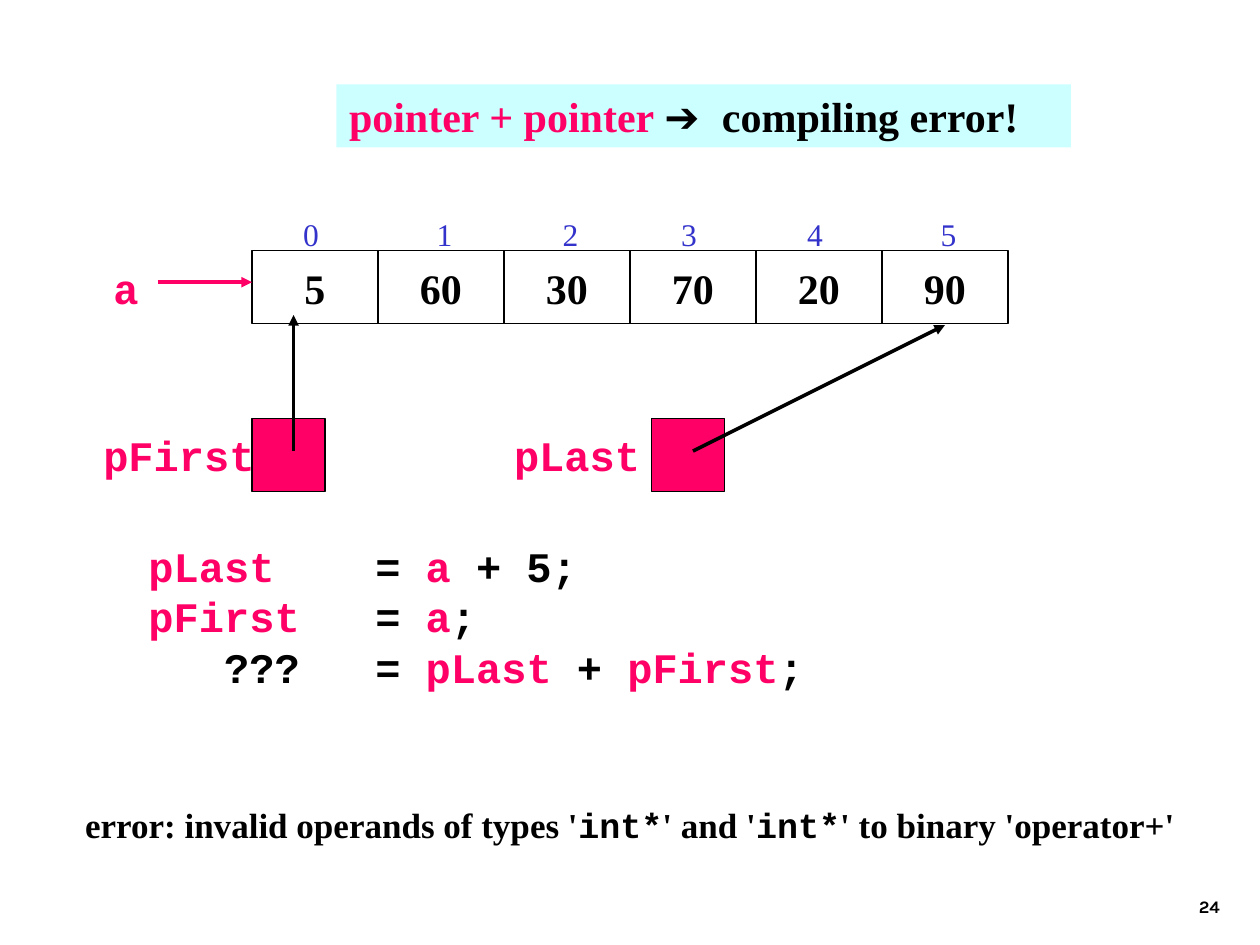
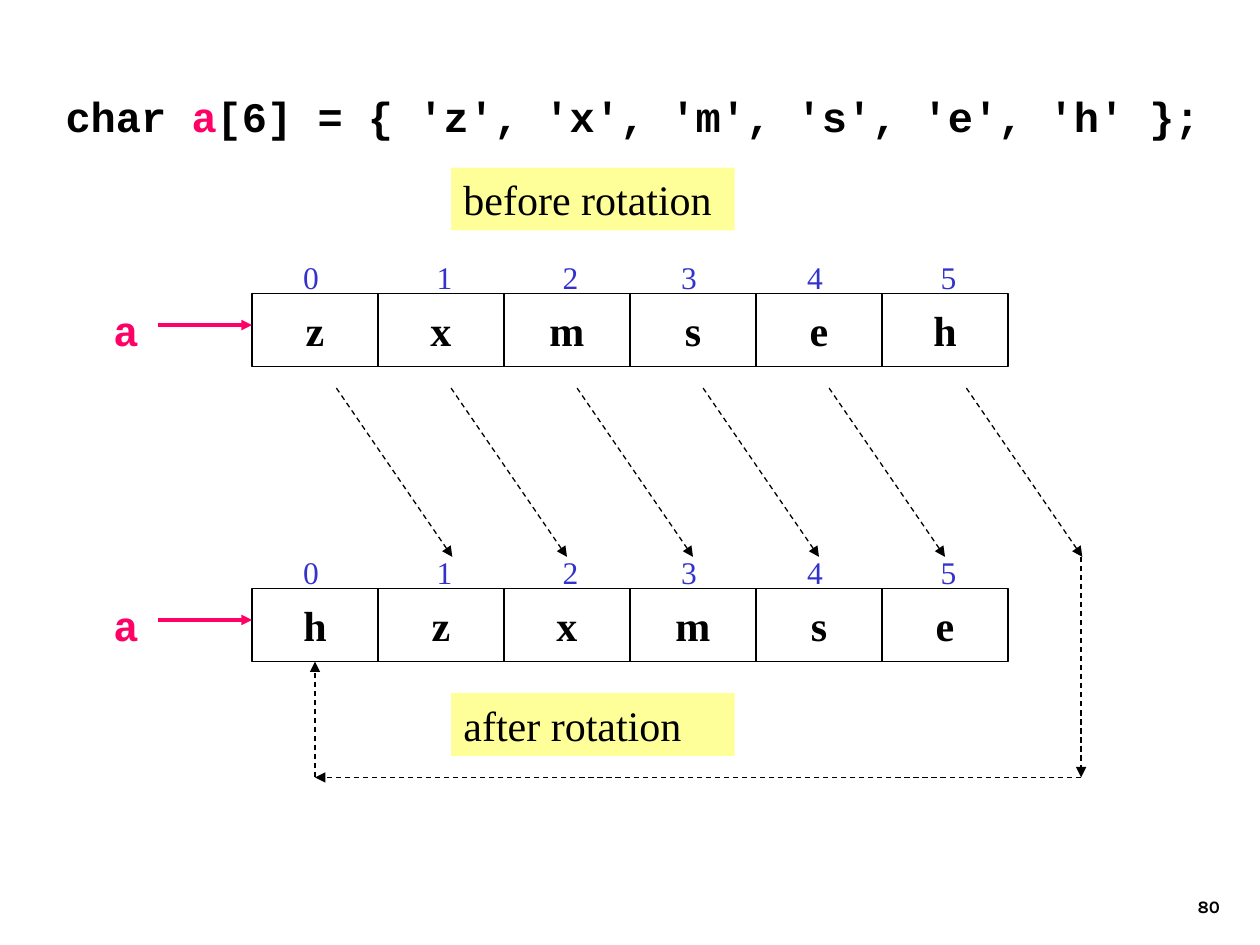
"""Build two slides on pointers and array rotation in C."""
from pptx import Presentation
from pptx.dml.color import RGBColor
from pptx.enum.dml import MSO_LINE
from pptx.enum.shapes import MSO_CONNECTOR, MSO_SHAPE
from pptx.enum.text import MSO_ANCHOR, MSO_AUTO_SIZE, PP_ALIGN
from pptx.oxml.ns import qn
from pptx.util import Inches, Pt
from lxml.etree import SubElement

BLACK = RGBColor(0x00, 0x00, 0x00)
PINK = RGBColor(0xFF, 0x00, 0x66)
BLUE = RGBColor(0x33, 0x33, 0xCC)
CYAN = RGBColor(0xCC, 0xFF, 0xFF)
YELLOW = RGBColor(0xFF, 0xFF, 0x99)
SERIF, CODE, SYMBOL, NUMBER = "Times New Roman", "Courier New", "Arial", "Karla"
CELL_HEIGHT = 0.58
ARRAY_LEFT = 2
INDEX_TABS = (0.37, 1.43, 2.43, 3.37, 4.37, 5.43)


class Painter:
    """Hold the shared style and the slide being drawn."""

    def __init__(self):
        self.deck = Presentation()
        self.deck.slide_width, self.deck.slide_height = Inches(10), Inches(7.5)
        self.slide = None

    def page(self, number, title, area, face=SERIF, fill=None, tabs=()):
        self.slide = self.deck.slides.add_slide(self.deck.slide_layouts[5])
        box = self.slide.shapes.title
        box.left, box.top, box.width, box.height = map(Inches, area)
        if fill is not None:
            box.fill.solid()
            box.fill.fore_color.rgb = fill
        self.set_text(box, [title], face=face, anchor=MSO_ANCHOR.TOP, tabs=tabs)
        self.text([[(number,)]], (7.7, 6.83, 2.08, 0.5), size=10, face=NUMBER,
                  align=PP_ALIGN.RIGHT, anchor=MSO_ANCHOR.BOTTOM)

    def set_text(self, box, lines, size=24, face=SERIF, color=BLACK, bold=True,
                 align=PP_ALIGN.LEFT, anchor=MSO_ANCHOR.MIDDLE, wrap=True, tabs=()):
        frame = box.text_frame
        frame.auto_size = MSO_AUTO_SIZE.NONE
        frame.word_wrap = wrap
        frame.vertical_anchor = anchor
        for index, spans in enumerate(lines):
            para = frame.add_paragraph() if index else frame.paragraphs[0]
            para.alignment = align
            if tabs:
                stops = SubElement(para._p.get_or_add_pPr(), qn("a:tabLst"))
                for place, kind in tabs:
                    SubElement(stops, qn("a:tab"), pos=str(Inches(place)), algn=kind)
            para.font.size, para.font.name, para.font.bold = Pt(size), face, bold
            para.font.color.rgb = color
            for words, *style in spans:
                span = para.add_run()
                span.text = words
                for item in style:
                    if isinstance(item, RGBColor):
                        span.font.color.rgb = item
                    else:
                        span.font.name = item

    def text(self, lines, area, **style):
        box = self.slide.shapes.add_textbox(*map(Inches, area))
        self.set_text(box, lines, **style)

    def label(self, words, left, top):
        self.text([[(words,)]], (left, top, 1, CELL_HEIGHT), face=CODE, color=PINK,
                  align=PP_ALIGN.CENTER, wrap=False)

    def rectangle(self, area, fill=None, outlined=True):
        box = self.slide.shapes.add_shape(MSO_SHAPE.RECTANGLE, *map(Inches, area))
        box.shadow.inherit = False
        if fill is None:
            box.fill.background()
        else:
            box.fill.solid()
            box.fill.fore_color.rgb = fill
        if outlined:
            box.line.color.rgb = BLACK
            box.line.width = Pt(0.75)
        else:
            box.line.fill.background()
        return box

    def caption(self, words, top):
        box = self.rectangle((3.58, top, 2.25, 0.5), YELLOW, outlined=False)
        self.set_text(box, [[(words,)]], bold=False, anchor=MSO_ANCHOR.TOP)

    def arrow(self, start, end, color=BLACK, width=2, dashed=False):
        line = self.slide.shapes.add_connector(
            MSO_CONNECTOR.STRAIGHT, *map(Inches, (*start, *end)))
        line.line.color.rgb = color
        line.line.width = Pt(width)
        if dashed:
            line.line.dash_style = MSO_LINE.DASH
        properties = line._element.spPr
        SubElement(properties.find(qn("a:ln")), qn("a:tailEnd"), type="triangle")
        SubElement(properties, qn("a:effectLst"))

    def array(self, values, top):
        for index, value in enumerate(values):
            cell = self.rectangle((ARRAY_LEFT + index, top, 1, CELL_HEIGHT))
            self.set_text(cell, [[(value,)]], align=PP_ALIGN.CENTER, wrap=False)
        indices = "".join(f"\t{index}" for index in range(len(values)))
        self.text([[(indices,)]], (ARRAY_LEFT, top - 0.42, len(values), CELL_HEIGHT),
                  size=18, color=BLUE, bold=False,
                  tabs=[(place, "ctr") for place in INDEX_TABS])
        self.label("a", 0.5, top)
        self.arrow((1.25, top + 0.25), (ARRAY_LEFT, top + 0.25), PINK)

    def pointer(self, name, label_left, box_left, target):
        self.label(name, label_left, 3.32)
        self.rectangle((box_left, 3.32, CELL_HEIGHT, CELL_HEIGHT), PINK)
        self.arrow((box_left + 0.33, 3.58), target)


def draw_pointer_sum(painter):
    painter.page("24", [("pointer + pointer ", PINK), ("➔", SYMBOL),
                        ("\tcompiling error!",)],
                 (2.67, 0.67, 5.83, 0.5), fill=CYAN, tabs=[(2.96, "l")])
    painter.array(("5", "60", "30", "70", "20", "90"), 1.99)
    painter.pointer("pLast", 4.08, 5.17, (7.5, 2.58))
    painter.pointer("pFirst", 0.92, 2, (2.33, 2.5))
    painter.text([
        [("pLast", PINK), ("    = ",), ("a ", PINK), ("+ 5;",)],
        [("pFirst", PINK), ("   = ",), ("a", PINK), (";",)],
        [("   ???   = ",), ("pLast ", PINK), ("+ ",), ("pFirst", PINK), (";",)],
    ], (1.08, 4.24, 8.25, 1.7), face=CODE, anchor=MSO_ANCHOR.TOP)
    painter.text([[("error: invalid operands of types '",), ("int*", CODE),
                   ("' and '",), ("int*", CODE), ("' to binary 'operator+'",)]],
                 (0, 5.92, 10, 1.25), size=20, align=PP_ALIGN.CENTER, wrap=False)


def draw_rotation(painter):
    painter.page("80", [("char ",), ("a", PINK),
                        ("[6] = { 'z', 'x', 'm', 's', 'e', 'h' };",)],
                 (0.42, 0.67, 9.25, 1.11), face=CODE)
    letters = "zxmseh"
    painter.array(letters, 2.33)
    painter.caption("before rotation", 1.33)
    painter.array(letters[-1] + letters[:-1], 4.67)
    painter.caption("after rotation", 5.5)
    for left in (2.67, 3.58, 4.58, 5.58, 6.58, 7.67):
        painter.arrow((left, 3.08), (left + 0.92, 4.42), width=0.75, dashed=True)
    wrap_route = [(8.58, 4.42), (8.58, 6.17), (2.5, 6.17), (2.5, 5.25)]
    for start, end in zip(wrap_route, wrap_route[1:]):
        painter.arrow(start, end, width=0.75, dashed=True)


def main():
    painter = Painter()
    draw_pointer_sum(painter)
    draw_rotation(painter)
    painter.deck.save("out.pptx")


if __name__ == "__main__":
    main()
